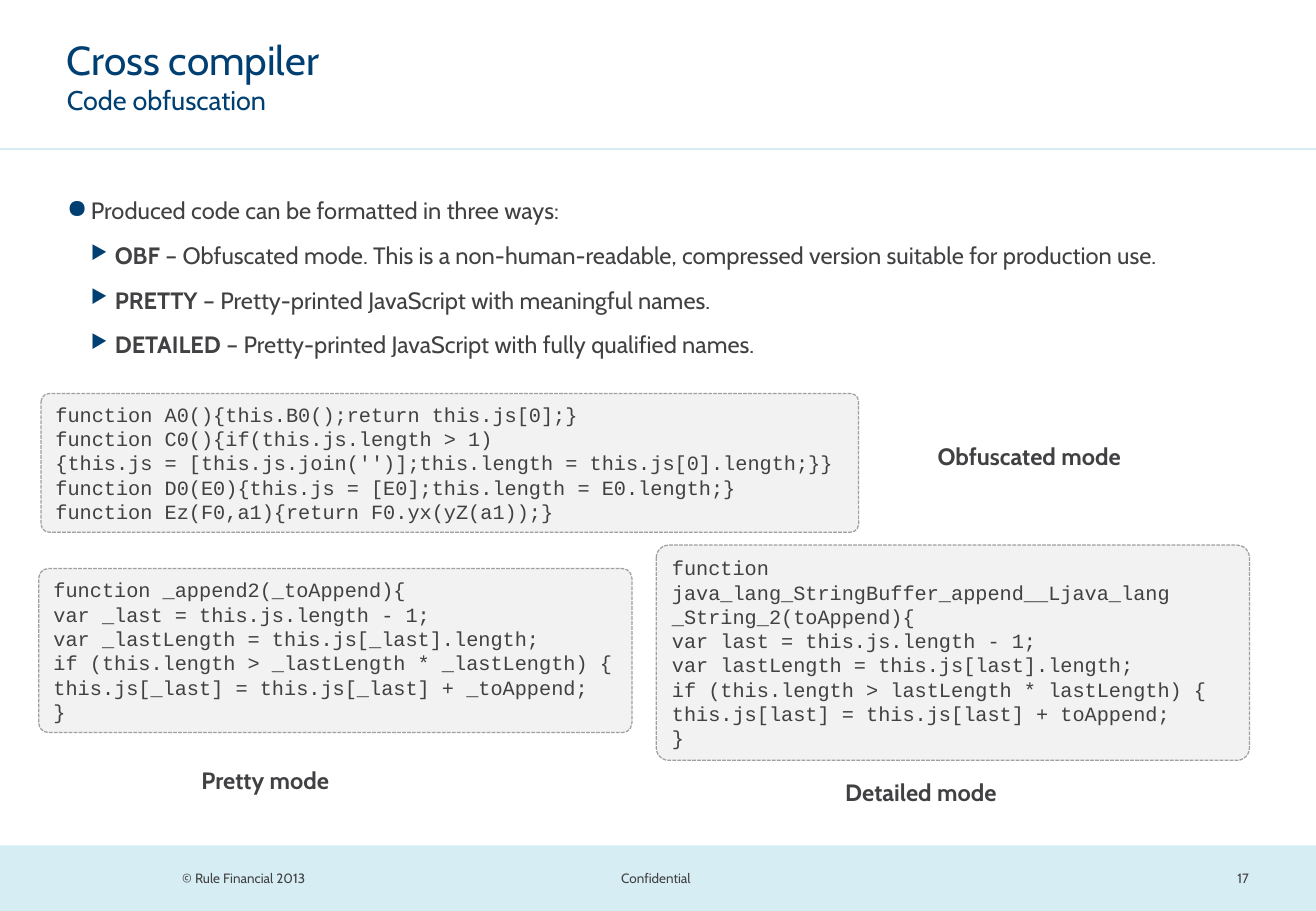
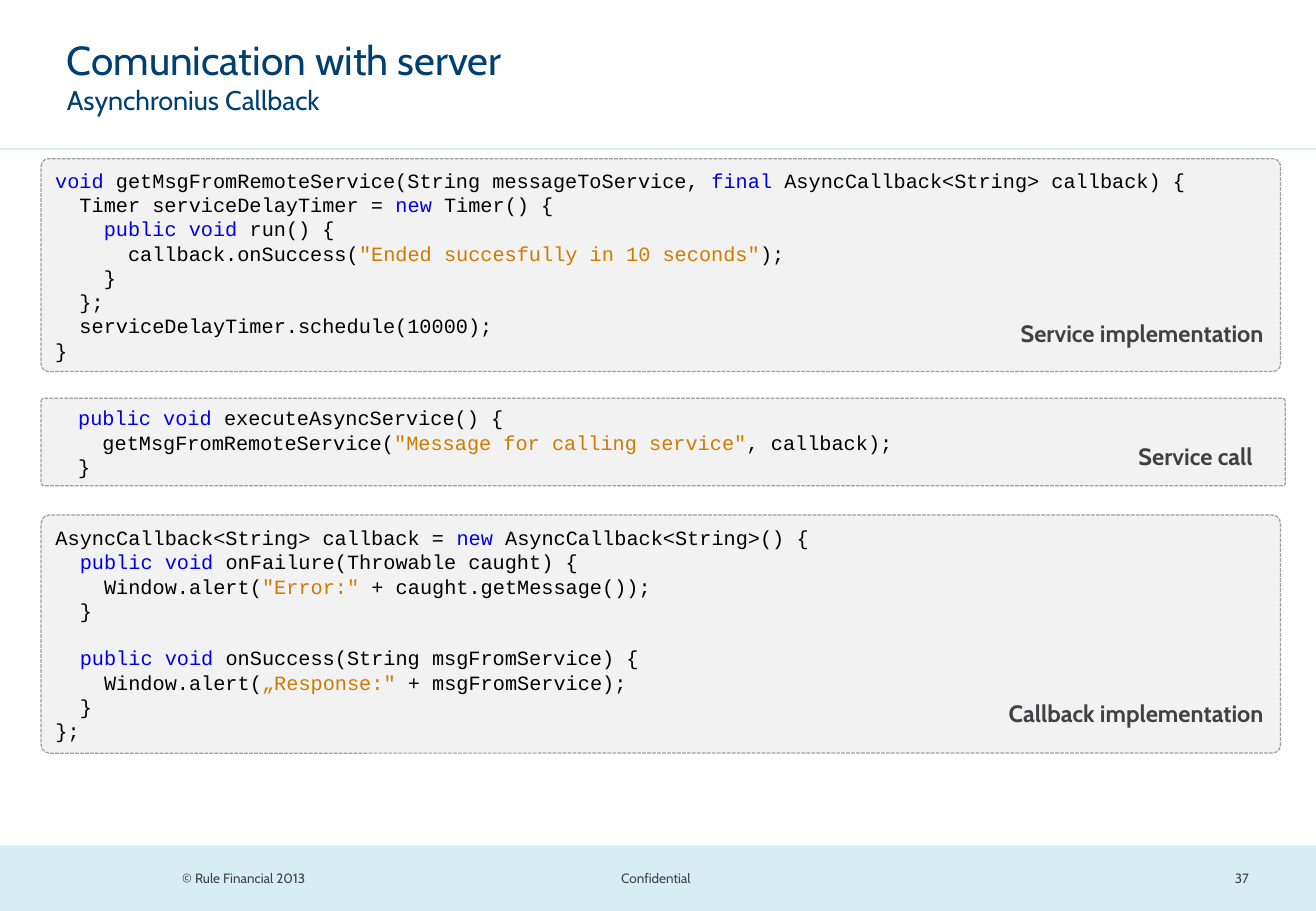
import dataclasses
import itertools

import lxml.etree
import pptx
import pptx.dml.color
import pptx.enum.dml
import pptx.enum.shapes
import pptx.enum.text
import pptx.oxml.ns
import pptx.util

Cm = pptx.util.Cm
Pt = pptx.util.Pt
ALIGN = pptx.enum.text.PP_ALIGN
ANCHOR = pptx.enum.text.MSO_ANCHOR
SHAPE = pptx.enum.shapes.MSO_SHAPE


@dataclasses.dataclass(frozen=True)
class Theme:
    navy: str = "003F72"
    body: str = "414042"
    band: str = "D6EEF3"
    panel: str = "F2F2F2"
    border: str = "A09FA1"
    code: str = "000000"
    keyword: str = "0000E6"
    literal: str = "CE7B00"
    text_font: str = "Cabin"
    code_font: str = "Courier New"
    title_size: int = 24
    subtitle_size: int = 16
    body_size: int = 14
    code_size: int = 12
    footer_size: int = 8


THEME = Theme()
SLIDE_WIDTH, SLIDE_HEIGHT = 27.51, 19.05
MARGIN, CONTENT_WIDTH = 1.4, 24.77
HEADER_LINE_TOP = 3.12
FOOTER_TOP, FOOTER_HEIGHT = 17.68, 1.37
JAVA_KEYWORDS = {"void", "final", "new", "public"}


def rgb(value):
    return pptx.dml.color.RGBColor.from_string(value)


def add_text(paragraph, text, *, size=THEME.body_size, color=THEME.body,
             font=THEME.text_font, bold=False):
    run = paragraph.add_run()
    run.text = text
    run.font.size = Pt(size)
    run.font.name = font
    run.font.bold = bold
    run.font.color.rgb = rgb(color)


def set_frame(frame, insets=(0.25, 0.13, 0.25, 0.13), anchor=ANCHOR.TOP):
    frame.word_wrap = True
    frame.vertical_anchor = anchor
    (frame.margin_left, frame.margin_top,
     frame.margin_right, frame.margin_bottom) = map(Cm, insets)


def add_frame(slide, box, **layout):
    frame = slide.shapes.add_textbox(*map(Cm, box)).text_frame
    set_frame(frame, **layout)
    return frame


def paragraphs_for(frame, items):
    """Yield a paragraph with each item, using the first existing one."""
    for index, item in enumerate(items):
        yield (frame.add_paragraph() if index else frame.paragraphs[0]), item


def add_label(slide, box, text, align=ALIGN.LEFT):
    paragraph = add_frame(slide, box).paragraphs[0]
    paragraph.alignment = align
    add_text(paragraph, text, bold=True)


def add_filled(slide, kind, box, color):
    shape = slide.shapes.add_shape(kind, *map(Cm, box))
    shape.shadow.inherit = False
    shape.fill.solid()
    shape.fill.fore_color.rgb = rgb(color)
    shape.line.fill.background()
    return shape


def add_header(slide, title, subtitle):
    rule = slide.shapes.add_connector(
        pptx.enum.shapes.MSO_CONNECTOR.STRAIGHT,
        0, Cm(HEADER_LINE_TOP), Cm(SLIDE_WIDTH), Cm(HEADER_LINE_TOP))
    rule.line.color.rgb = rgb(THEME.band)
    rule.line.width = Pt(1.25)
    lxml.etree.SubElement(rule._element.spPr, pptx.oxml.ns.qn("a:effectLst"))

    frame = add_frame(slide, (MARGIN, 0.74, CONTENT_WIDTH, 2.26), insets=(0, 0, 0, 0.25))
    lines = [(title, THEME.title_size), (subtitle, THEME.subtitle_size)]
    for paragraph, (text, size) in paragraphs_for(frame, lines):
        add_text(paragraph, text, size=size, color=THEME.navy)


def add_footer(slide, page):
    add_filled(slide, SHAPE.RECTANGLE,
               (0, FOOTER_TOP, SLIDE_WIDTH, FOOTER_HEIGHT), THEME.band)
    for left, width, text, align in (
            (3.58, 5.84, "© Rule Financial 2013", ALIGN.LEFT),
            (9.98, 7.47, "Confidential", ALIGN.CENTER),
            (18.87, 7.47, str(page), ALIGN.RIGHT)):
        frame = add_frame(slide, (left, FOOTER_TOP, width, FOOTER_HEIGHT),
                          insets=(0.23, 0.1, 0.23, 0.1), anchor=ANCHOR.MIDDLE)
        frame.paragraphs[0].alignment = align
        add_text(frame.paragraphs[0], text, size=THEME.footer_size)


def set_bullet(paragraph, level):
    character, percent = (("●", 110), ("▶", 80))[level]
    paragraph.level = level
    properties = paragraph._p.get_or_add_pPr()
    properties.set("marL", str(Cm(0.5 * (level + 1))))
    properties.set("indent", str(Cm(-0.5)))
    qn = pptx.oxml.ns.qn
    color = lxml.etree.SubElement(properties, qn("a:buClr"))
    lxml.etree.SubElement(color, qn("a:srgbClr"), val=THEME.navy)
    lxml.etree.SubElement(properties, qn("a:buSzPct"), val=str(percent * 1000))
    lxml.etree.SubElement(properties, qn("a:buChar"), char=character)


def add_bullets(slide, box, bullets):
    """Place bullets given as (level, bold lead, text)."""
    frame = add_frame(slide, box, insets=(0, 0.13, 0.25, 0.13))
    for paragraph, (level, lead, text) in paragraphs_for(frame, bullets):
        set_bullet(paragraph, level)
        paragraph.line_spacing = 1.4
        if paragraph is not frame.paragraphs[0] and level:
            paragraph.space_before = Pt(3)
        if lead:
            add_text(paragraph, lead, bold=True)
        add_text(paragraph, text)


def plain_runs(line):
    return [(line, THEME.body)]


def java_runs(line):
    """Split a line into (text, colour) runs for keywords and its string literal."""
    start = next((i for i, char in enumerate(line) if char in '"„'), len(line))
    end = line.rfind('"') + 1 or len(line)
    words = line[:start].split(" ")
    tokens = [(word + " ", THEME.keyword if word in JAVA_KEYWORDS else THEME.code)
              for word in words[:-1]]
    tokens += [(words[-1], THEME.code), (line[start:end], THEME.literal),
               (line[end:], THEME.code)]
    visible = [token for token in tokens if token[0]]
    return [("".join(text for text, _ in group), color)
            for color, group in itertools.groupby(visible, key=lambda token: token[1])]


def add_code(slide, box, code, runs_of, rounding):
    """Place a dashed code panel; an empty code line becomes space before the next."""
    panel = add_filled(slide, SHAPE.ROUNDED_RECTANGLE, box, THEME.panel)
    panel.adjustments[0] = rounding
    panel.line.color.rgb = rgb(THEME.border)
    panel.line.width = Pt(0.75)
    panel.line.dash_style = pptx.enum.dml.MSO_LINE.SQUARE_DOT
    set_frame(panel.text_frame, anchor=ANCHOR.MIDDLE)
    lines = code.strip("\n").split("\n")
    numbered = [(i, line) for i, line in enumerate(lines) if line]
    for paragraph, (i, line) in paragraphs_for(panel.text_frame, numbered):
        paragraph.alignment = ALIGN.LEFT
        if i and not lines[i - 1]:
            paragraph.space_before = Pt(13.6)
        for text, color in runs_of(line):
            add_text(paragraph, text, size=THEME.code_size, color=color,
                     font=THEME.code_font)


def add_java_panel(slide, box, code, caption, right_gap, bottom_gap):
    """Place Java code with a caption in the panel's lower right corner."""
    add_code(slide, box, code, java_runs, 0.035)
    left, top, width, height = box
    caption_width, caption_height = 8.28, 1.04
    add_label(slide, (left + width - right_gap - caption_width,
                      top + height - bottom_gap - caption_height,
                      caption_width, caption_height), caption, ALIGN.RIGHT)


OBFUSCATED = """
function A0(){this.B0();return this.js[0];}
function C0(){if(this.js.length > 1)
{this.js = [this.js.join('')];this.length = this.js[0].length;}}
function D0(E0){this.js = [E0];this.length = E0.length;}
function Ez(F0,a1){return F0.yx(yZ(a1));}
"""
PRETTY = """
function _append2(_toAppend){
var _last = this.js.length - 1;
var _lastLength = this.js[_last].length;
if (this.length > _lastLength * _lastLength) {
this.js[_last] = this.js[_last] + _toAppend;
}
"""
DETAILED = """
function java_lang_StringBuffer_append__Ljava_lang
_String_2(toAppend){
var last = this.js.length - 1;
var lastLength = this.js[last].length;
if (this.length > lastLength * lastLength) {
this.js[last] = this.js[last] + toAppend;
}
"""
SERVICE = """
void getMsgFromRemoteService(String messageToService, final AsyncCallback<String> callback) {
  Timer serviceDelayTimer = new Timer() {
    public void run() {
      callback.onSuccess("Ended succesfully in 10 seconds");
    }
  };
  serviceDelayTimer.schedule(10000);
}
"""
SERVICE_CALL = """
  public void executeAsyncService() {
    getMsgFromRemoteService("Message for calling service", callback);
  }
"""
CALLBACK = """
AsyncCallback<String> callback = new AsyncCallback<String>() {
  public void onFailure(Throwable caught) {
    Window.alert("Error:" + caught.getMessage());
  }

  public void onSuccess(String msgFromService) {
    Window.alert(„Response:" + msgFromService);
  }
};
"""


def add_slide(deck, title, subtitle, page):
    slide = deck.slides.add_slide(deck.slide_layouts[6])
    add_footer(slide, page)
    add_header(slide, title, subtitle)
    return slide


def build_obfuscation(deck):
    slide = add_slide(deck, "Cross compiler", "Code obfuscation", 17)
    add_bullets(slide, (MARGIN, 3.73, CONTENT_WIDTH, 3.99), [
        (0, "", "Produced code can be formatted in three ways:"),
        (1, "OBF", " – Obfuscated mode. This is a non-human-readable, "
                   "compressed version suitable for production use."),
        (1, "PRETTY", " – Pretty-printed JavaScript with meaningful names."),
        (1, "DETAILED", " – Pretty-printed JavaScript with fully qualified names."),
    ])
    for box, code, caption, caption_left, caption_top in (
            ((0.86, 8.23, 17.09, 2.9), OBFUSCATED, "Obfuscated mode", 19.35, 9.12),
            ((0.81, 11.89, 12.4, 3.43), PRETTY, "Pretty mode", 3.96, 15.88),
            ((13.72, 11.4, 12.4, 4.5), DETAILED, "Detailed mode", 17.42, 16.13)):
        add_code(slide, box, code, plain_runs, 0.058)
        add_label(slide, (caption_left, caption_top, 5, 1.27), caption)


def build_callback(deck):
    slide = add_slide(deck, "Comunication with server", "Asynchronius Callback", 37)
    left = 0.86
    add_java_panel(slide, (left, 3.32, 25.91, 4.45), SERVICE,
                   "Service implementation", 0.1, 0.2)
    add_java_panel(slide, (left, 8.33, 26.01, 1.83), SERVICE_CALL,
                   "Service call", 0.43, 0)
    add_java_panel(slide, (left, 10.77, 25.91, 4.98), CALLBACK,
                   "Callback implementation", 0.1, 0.23)


def main():
    deck = pptx.Presentation()
    deck.slide_width, deck.slide_height = Cm(SLIDE_WIDTH), Cm(SLIDE_HEIGHT)
    build_obfuscation(deck)
    build_callback(deck)
    deck.save("out.pptx")


if __name__ == "__main__":
    main()
